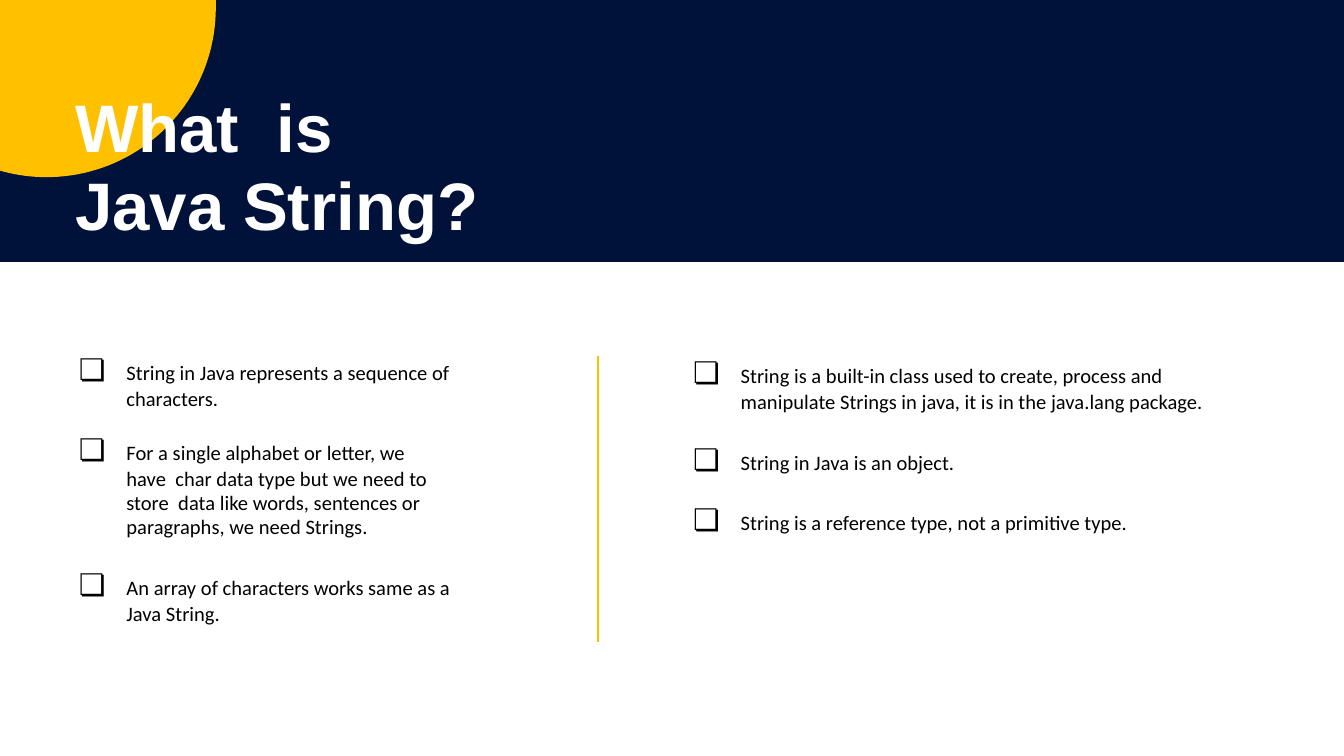
from math import acos, cos, sin

from pptx import Presentation
from pptx.dml.color import RGBColor
from pptx.enum.shapes import MSO_CONNECTOR as Connector
from pptx.enum.shapes import MSO_SHAPE as Shape
from pptx.enum.text import MSO_ANCHOR as Anchor
from pptx.enum.text import PP_ALIGN as Align
from pptx.oxml.ns import qn
from pptx.util import Cm, Pt

COLORS = {"navy": "001239", "gold": "FFC000", "white": "FFFFFF", "black": "000000"}
TITLE = "What  is Java String?"
BULLET = "❏"

# Each item: text, space before (pt), right margin (cm)
LEFT = [
    ("String in Java represents a sequence of characters.", 0, 0),
    ("For a single alphabet or letter, we have  char data type but we need to "
     "store  data like words, sentences or paragraphs, we need Strings.", 11.5, 0.3),
    ("An array of characters works same as a Java String.", 15.5, 0),
]
RIGHT = [
    ("String is a built-in class used to create, process and manipulate "
     "Strings in java, it is in the java.lang package.", 0, 0),
    ("String in Java is an object.", 0, 0),
    ("String is a reference type, not a primitive type.", 0, 0),
]
# Each box: left, top, width, height (cm), items
BOXES = [
    (1.47, 6.63, 7.14, 5.23, LEFT),
    (13.08, 6.7, 9.73, 1.17, RIGHT[:1]),
    (13.08, 8.34, 5.03, 0.7, RIGHT[1:2]),
    (13.08, 9.48, 8.28, 0.7, RIGHT[2:]),
]
SLIDE_W, SLIDE_H, BAND_H = 25.4, 14.29, 4.95
CIRCLE_X, CIRCLE_Y, RADIUS = 0.88, 0.15, 3.2


def rgb(name):
    return RGBColor.from_string(COLORS[name])


def paint(sp, color):
    sp.shadow.inherit = False
    sp.fill.solid()
    sp.fill.fore_color.rgb = rgb(color)
    sp.line.fill.background()


def add_corner_disc(s, steps=48):
    """Draw the part of the circle that lies inside the slide's top left corner."""
    end = acos(-CIRCLE_X / RADIUS)
    arc = [(Cm(CIRCLE_X + RADIUS * cos(end * i / steps)),
            Cm(CIRCLE_Y + RADIUS * sin(end * i / steps))) for i in range(steps + 1)]
    builder = s.shapes.build_freeform(0, 0)
    builder.add_line_segments([(Cm(CIRCLE_X + RADIUS), 0), *arc], close=True)
    paint(builder.convert_to_shape(), "gold")


def set_frame(tf, top):
    tf.word_wrap = True
    tf.vertical_anchor = Anchor.TOP
    tf.margin_left = tf.margin_right = tf.margin_bottom = 0
    tf.margin_top = Cm(top)


def set_font(font, name, size, color, bold=False):
    font.name, font.size, font.bold = name, Pt(size), bold
    font.color.rgb = rgb(color)


def add_items(s, left, top, width, height, items):
    tf = s.shapes.add_textbox(Cm(left), Cm(top), Cm(width), Cm(height)).text_frame
    set_frame(tf, 0.03)
    for i, (text, before, right) in enumerate(items):
        p = tf.paragraphs[0] if i == 0 else tf.add_paragraph()
        p.line_spacing = 0.97
        p.space_before = Pt(before)
        pPr = p._p.get_or_add_pPr()
        pPr.set("marL", str(Cm(0.92)))
        pPr.set("indent", str(-Cm(0.9)))
        pPr.set("marR", str(Cm(right)))
        for part, name, size in ((BULLET + "\t", "Lato", 16), (text, "Calibri", 11)):
            r = p.add_run()
            r.text = part
            set_font(r.font, name, size, "black")


prs = Presentation()
prs.slide_width, prs.slide_height = Cm(SLIDE_W), Cm(SLIDE_H)
s = prs.slides.add_slide(prs.slide_layouts[5])

paint(s.shapes.add_shape(Shape.RECTANGLE, 0, 0, Cm(SLIDE_W), Cm(BAND_H)), "navy")
add_corner_disc(s)

title = s.shapes.title
title.left, title.top, title.width, title.height = Cm(1.42), Cm(1.55), Cm(7.7), Cm(3.07)
s.shapes._spTree.append(title._element)  # bring in front of the band
title.text_frame.text = TITLE
set_frame(title.text_frame, 0.1)
p = title.text_frame.paragraphs[0]
p.alignment = Align.LEFT
p.line_spacing = Pt(42.1)
set_font(p.font, "Arial", 36, "white", bold=True)

divider = s.shapes.add_connector(Connector.STRAIGHT, Cm(11.3), Cm(6.73), Cm(11.3), Cm(12.14))
divider.line.color.rgb = rgb("gold")
divider.line.width = Pt(1.5)
spPr = divider._element.spPr
spPr.append(spPr.makeelement(qn("a:effectLst"), {}))

for box in BOXES:
    add_items(s, *box)

prs.save("out.pptx")
